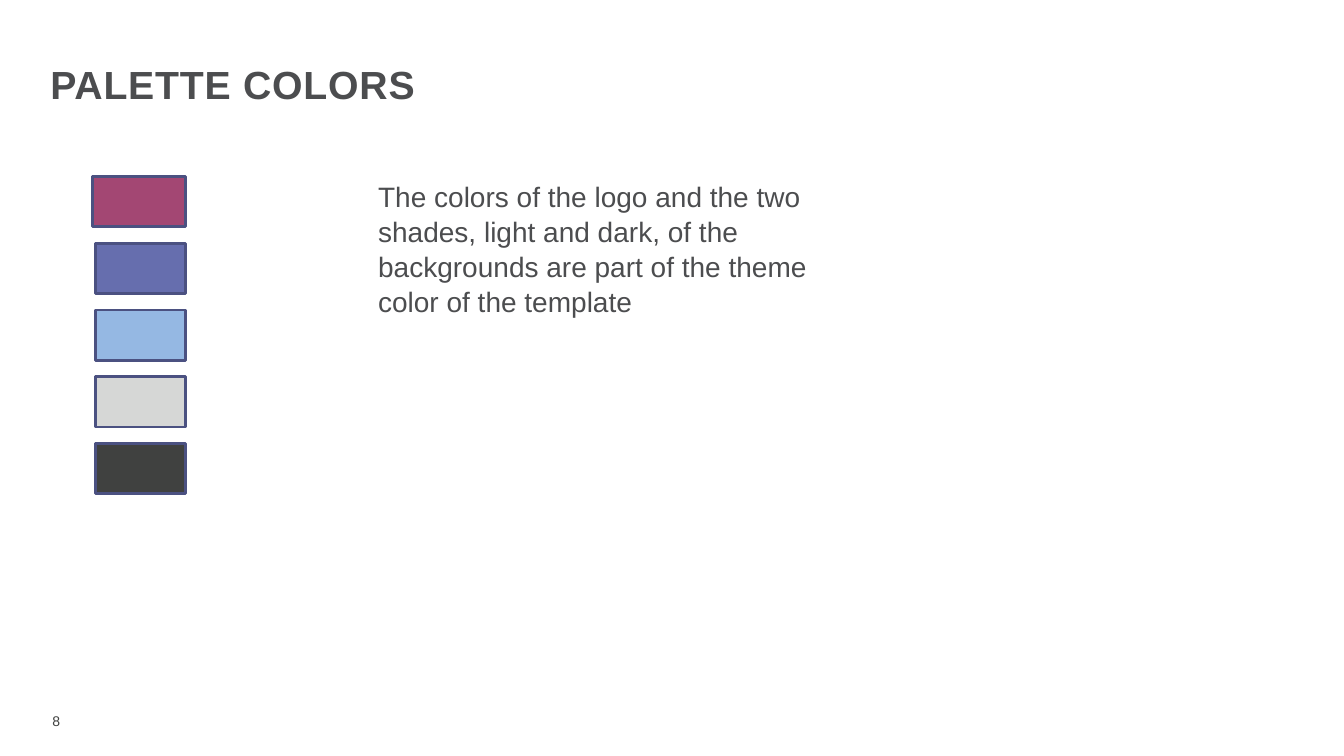
from pptx import Presentation
from pptx.dml.color import RGBColor
from pptx.enum.shapes import MSO_SHAPE as Shape
from pptx.enum.text import MSO_ANCHOR as Anchor, MSO_AUTO_SIZE as AutoSize, PP_ALIGN as Align
from pptx.oxml.xmlchemy import OxmlElement
from pptx.util import Inches, Pt


def color(hex_value):
    """Turn a hex string into a colour."""
    return RGBColor.from_string(hex_value)


def apply_format(target, values):
    """Set every attribute named in a dict of format values."""
    for name, value in values.items():
        setattr(target, name, value)


class SlideBuilder:
    """Holds the style and the current slide."""

    FONT = "Arial"
    TEXT, DARK, OUTLINE = "4C4D4F", "404140", "4B5181"

    def __init__(self, slide):
        """Keep the slide to build on."""
        self.slide = slide

    def place(self, shape, left, top, width, height):
        """Move and size a shape, in inches."""
        apply_format(shape, {"left": Inches(left), "top": Inches(top),
                             "width": Inches(width), "height": Inches(height)})

    def add_text(self, shape, text, size, hex_value, bold=False, frame=None, paragraph=None):
        """Fill a shape with one formatted paragraph and return its run."""
        text_frame = shape.text_frame
        apply_format(text_frame, {"word_wrap": True, "auto_size": AutoSize.NONE,
                                  "vertical_anchor": Anchor.TOP, **(frame or {})})
        first = text_frame.paragraphs[0]
        apply_format(first, {"alignment": Align.LEFT, **(paragraph or {})})
        run = first.add_run()
        run.text = text
        apply_format(run.font, {"name": self.FONT, "size": Pt(size), "bold": bold})
        run.font.color.rgb = color(hex_value)
        return run

    def tight_frame(self, anchor):
        """Give the frame values shared by the title and the body."""
        return {"margin_left": 0, "margin_right": 0, "margin_bottom": 0,
                "margin_top": Inches(0.01), "vertical_anchor": anchor}

    def title(self, text, box):
        """Fill the title placeholder with slightly spaced letters."""
        shape = self.slide.shapes.title
        self.place(shape, *box)
        run = self.add_text(shape, text, 28, self.TEXT, True,
                            self.tight_frame(Anchor.BOTTOM), {"space_before": Pt(1)})
        run.font._element.set("spc", "60")

    def body(self, text, box):
        """Fill the body placeholder with a plain paragraph without bullet."""
        shape = self.slide.placeholders[1]
        self.place(shape, *box)
        self.add_text(shape, text, 20, self.TEXT, frame=self.tight_frame(Anchor.TOP),
                      paragraph={"space_before": Pt(1), "line_spacing": 1.05})
        properties = shape.text_frame.paragraphs[0]._p.get_or_add_pPr()
        properties.set("marL", "0")
        properties.set("indent", "0")
        properties.append(OxmlElement("a:buNone"))

    def page_number(self, text, box):
        """Add the small page number."""
        shape = self.slide.shapes.add_textbox(*map(Inches, box))
        self.add_text(shape, text, 10, self.DARK)

    def swatch(self, fill, box):
        """Add one outlined colour swatch."""
        shape = self.slide.shapes.add_shape(Shape.RECTANGLE, *map(Inches, box))
        shape.shadow.inherit = False
        shape.fill.solid()
        shape.fill.fore_color.rgb = color(fill)
        shape.line.color.rgb = color(self.OUTLINE)
        shape.line.width = Pt(2)


PALETTE = ["A34773", "666EAE", "95B8E3", "D6D7D6", "404140"]
SWATCH_RIGHT, SWATCH_TOP, SWATCH_BOTTOM, SWATCH_HEIGHT = 1.84, 1.75, 4.9, 0.5
SWATCH_STEP = (SWATCH_BOTTOM - SWATCH_HEIGHT - SWATCH_TOP) / (len(PALETTE) - 1)

presentation = Presentation()
apply_format(presentation, {"slide_width": Inches(13.33), "slide_height": Inches(7.5)})
builder = SlideBuilder(presentation.slides.add_slide(presentation.slide_layouts[1]))

builder.title("PALETTE COLORS", (0.5, 0.58, 7.99, 0.49))
builder.body("The colors of the logo and the two shades, light and dark, of the "
             "backgrounds are part of the theme color of the template",
             (3.75, 1.75, 4.67, 1.7))
for row, fill in enumerate(PALETTE):
    width = 0.89 if row else 0.92
    builder.swatch(fill, (SWATCH_RIGHT - width, SWATCH_TOP + row * SWATCH_STEP,
                          width, SWATCH_HEIGHT))
builder.page_number("8", (0.42, 7.02, 0.75, 0.4))

presentation.save("out.pptx")
